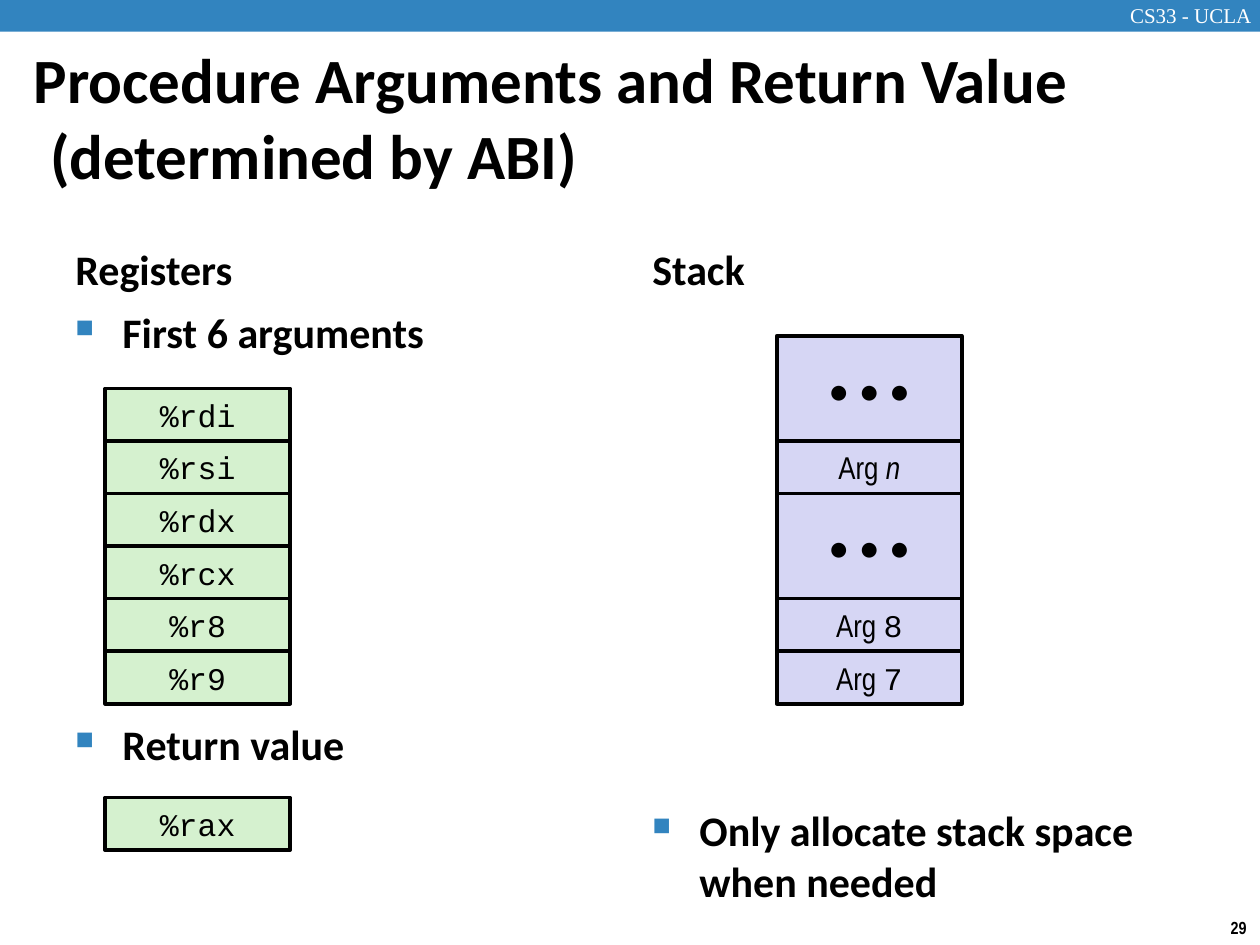
from dataclasses import dataclass

from lxml.etree import SubElement
from pptx import Presentation
from pptx.dml.color import RGBColor
from pptx.enum.shapes import MSO_SHAPE as Shape
from pptx.enum.text import MSO_ANCHOR as Anchor, PP_ALIGN as Align
from pptx.oxml.ns import qn
from pptx.util import Cm, Pt


@dataclass(frozen=True)
class Theme:
    accent: str = "3284BF"
    register: str = "D5F1CF"
    stack: str = "D6D6F4"
    ink: str = "000000"
    paper: str = "FFFFFF"
    main_font: str = "Calibri"
    code_font: str = "Courier New"
    label_font: str = "Arial Narrow"
    header_font: str = "Times New Roman"
    title_size: int = 36
    body_size: int = 24
    cell_size: int = 18
    header_size: int = 12
    number_size: int = 10


THEME = Theme()


@dataclass(frozen=True)
class Piece:
    """A stretch of text in one format."""
    text: str
    font: str = THEME.main_font
    size: int = THEME.body_size
    bold: bool = False
    italic: bool = False
    color: str = THEME.ink


@dataclass(frozen=True)
class Box:
    """Left, top, width and height in centimetres."""
    left: float
    top: float
    width: float
    height: float

    def lengths(self) -> tuple:
        return Cm(self.left), Cm(self.top), Cm(self.width), Cm(self.height)


@dataclass(frozen=True)
class Cell:
    pieces: tuple
    rows: int = 1
    inset: float = 0.1


ROW, CELL_WIDTH = 1.06, 3.73
REGISTER_LEFT, STACK_LEFT = 2.12, 15.66
LEFT_COLUMN, RIGHT_COLUMN, COLUMN_WIDTH = 1.27, 12.9, 11.23


def code(text: str) -> Piece:
    return Piece(text, THEME.code_font, THEME.cell_size)


def label(text: str, italic: bool = False) -> Piece:
    return Piece(text, THEME.label_font, THEME.cell_size, italic=italic)


DOTS = Cell((Piece("• • •"),), rows=2, inset=0)
ARGUMENT_REGISTERS = [Cell((code(name),)) for name in
                      ("%rdi", "%rsi", "%rdx", "%rcx", "%r8", "%r9")]
RETURN_REGISTER = [Cell((code("%rax"),))]
STACK = [
    DOTS,
    Cell((label("Arg "), label("n", italic=True))),
    DOTS,
    Cell((label("Arg "), code("8"))),
    Cell((label("Arg "), code("7"))),
]


def write(p, pieces: tuple, align: Align) -> None:
    p.alignment = align
    for piece in pieces:
        r = p.add_run()
        r.text = piece.text
        r.font.name = piece.font
        r.font.size = Pt(piece.size)
        r.font.bold = piece.bold
        r.font.italic = piece.italic
        r.font.color.rgb = RGBColor.from_string(piece.color)


def add_text(s, box: Box, piece: Piece, anchor: Anchor = Anchor.TOP,
             align: Align = Align.LEFT, wrap: bool = True):
    """Add a text box and return its paragraph."""
    tf = s.shapes.add_textbox(*box.lengths()).text_frame
    tf.word_wrap = wrap
    tf.vertical_anchor = anchor
    p = tf.paragraphs[0]
    write(p, (piece,), align)
    return p


def hang(p, indent: float):
    """Give a paragraph a hanging indent and return its properties."""
    props = p._p.get_or_add_pPr()
    props.set("marL", str(Cm(indent)))
    props.set("indent", str(-Cm(indent)))
    return props


def add_heading(s, left: float, text: str) -> None:
    add_text(s, Box(left, 4.27, COLUMN_WIDTH, 1.78), Piece(text, bold=True),
             Anchor.BOTTOM)


def add_bullet(s, left: float, top: float, text: str, height: float = 1.27) -> None:
    p = add_text(s, Box(left, top, COLUMN_WIDTH, height), Piece(text, bold=True))
    props = hang(p, 0.95)
    color = SubElement(props, qn("a:buClr"))
    SubElement(color, qn("a:srgbClr"), val=THEME.accent)
    SubElement(props, qn("a:buSzPct"), val="60000")
    SubElement(props, qn("a:buChar"), char="■")


def add_rect(shapes, box: Box, fill: str):
    sp = shapes.add_shape(Shape.RECTANGLE, *box.lengths())
    sp.shadow.inherit = False
    sp.fill.solid()
    sp.fill.fore_color.rgb = RGBColor.from_string(fill)
    return sp


def add_cells(shapes, left: float, top: float, cells: list, fill: str) -> None:
    """Pile cells downwards from a top left corner."""
    for cell in cells:
        height = cell.rows * ROW
        sp = add_rect(shapes, Box(left, top, CELL_WIDTH, height), fill)
        sp.line.color.rgb = RGBColor.from_string(THEME.ink)
        sp.line.width = Pt(2)
        tf = sp.text_frame
        tf.margin_left = tf.margin_right = Cm(cell.inset)
        tf.margin_top = tf.margin_bottom = Cm(cell.inset)
        tf.vertical_anchor = Anchor.MIDDLE
        write(tf.paragraphs[0], cell.pieces, Align.CENTER)
        top += height


def main() -> None:
    prs = Presentation()
    prs.slide_width, prs.slide_height = Cm(25.4), Cm(19.05)
    s = prs.slides.add_slide(prs.slide_layouts[6])

    add_rect(s.shapes, Box(0, 0, 25.4, 0.64), THEME.accent).line.fill.background()
    add_text(s, Box(22.43, -0.08, 3.15, 0.76),
             Piece("CS33 - UCLA", THEME.header_font, THEME.header_size,
                   color=THEME.paper), align=Align.CENTER)
    add_text(s, Box(24.54, 18.36, 0.86, 0.69),
             Piece("29", THEME.label_font, THEME.number_size, bold=True),
             align=Align.CENTER, wrap=False)

    title = add_text(s, Box(0.43, 0.76, 23.7, 3.18),
                     Piece("Procedure Arguments and Return Value",
                           size=THEME.title_size, bold=True), Anchor.MIDDLE)
    hang(title, 0.33)
    title.add_line_break()
    write(title, (Piece("(determined by ABI)", size=THEME.title_size, bold=True),),
          Align.LEFT)

    add_heading(s, LEFT_COLUMN, "Registers")
    add_bullet(s, LEFT_COLUMN, 6.05, "First 6 arguments")
    add_cells(s.shapes, REGISTER_LEFT, 7.83, ARGUMENT_REGISTERS, THEME.register)
    add_bullet(s, LEFT_COLUMN, 14.36, "Return value")
    add_cells(s.shapes, REGISTER_LEFT, 16.08, RETURN_REGISTER, THEME.register)

    add_heading(s, RIGHT_COLUMN, "Stack")
    stack = s.shapes.add_group_shape()
    add_cells(stack.shapes, STACK_LEFT, 6.77, STACK, THEME.stack)
    add_bullet(s, RIGHT_COLUMN, 16.1, "Only allocate stack space when needed", 2.3)

    prs.save("out.pptx")


if __name__ == "__main__":
    main()
